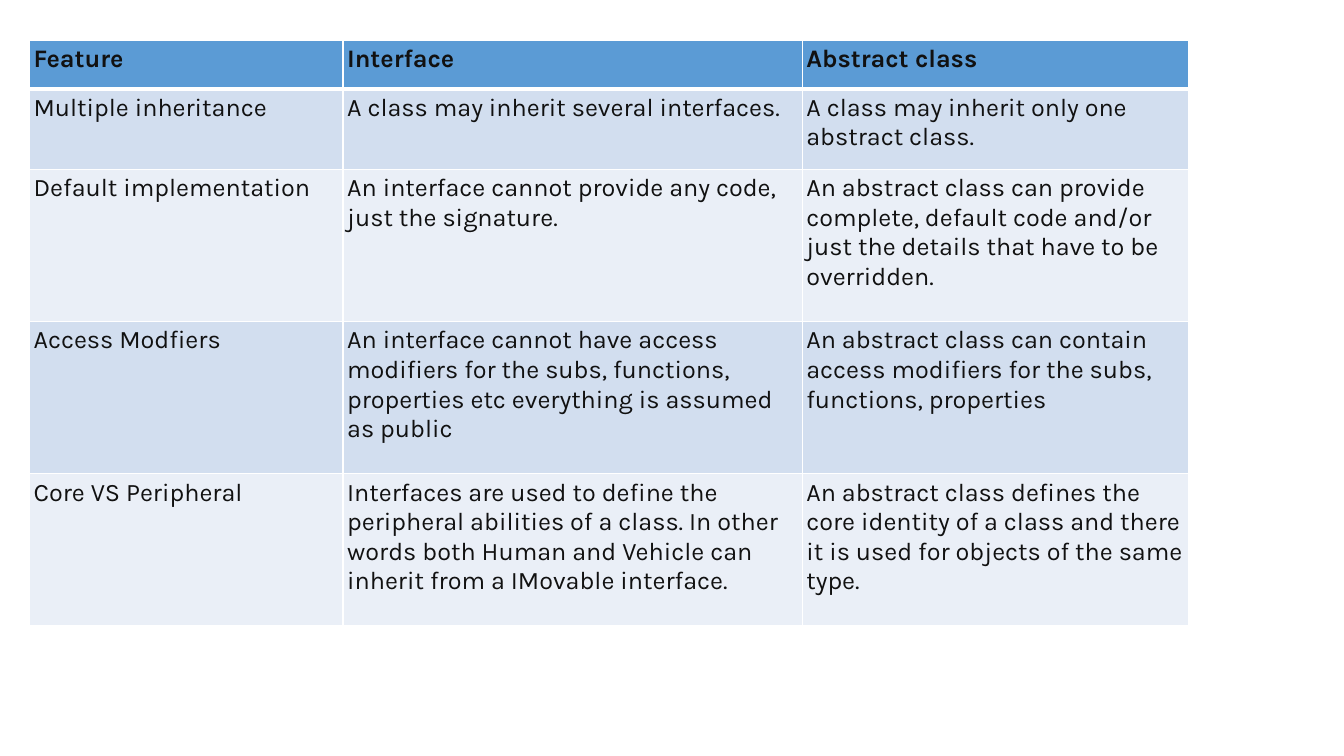
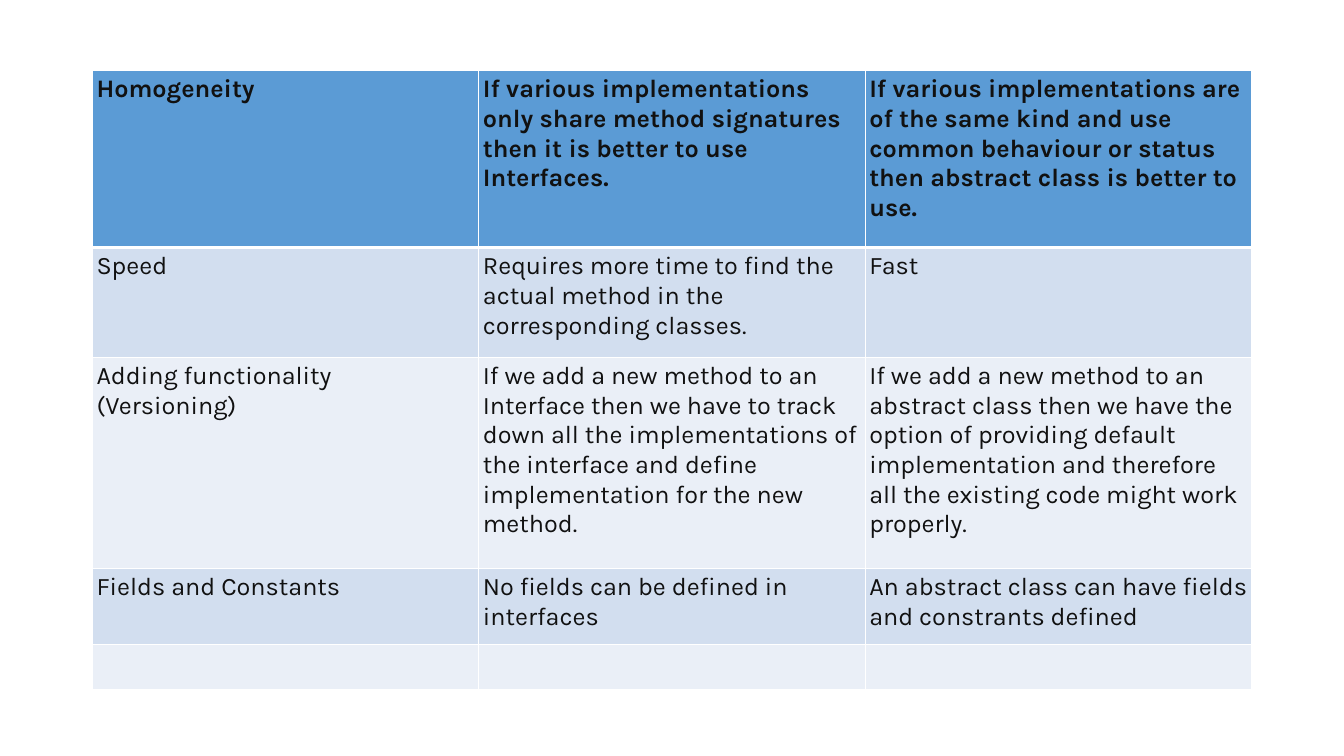
from lxml.etree import SubElement
from pptx import Presentation
from pptx.dml.color import RGBColor
from pptx.oxml.ns import qn
from pptx.util import Pt

HEADER_BLUE = RGBColor(0x5B, 0x9B, 0xD5)
BAND_DARK = RGBColor(0xD2, 0xDE, 0xEF)
BAND_LIGHT = RGBColor(0xEA, 0xEF, 0xF7)
INK = RGBColor(0x11, 0x11, 0x11)
WHITE = RGBColor(0xFF, 0xFF, 0xFF)

FONT = "Karla"
TEXT_SIZE = 18
CELL_INSET = 3
GRID_LINE = 1
HEADER_LINE = 3
BLANK_LAYOUT = 6

COMPARISONS = [
    {
        "corner": (21, 29),
        "widths": (224, 328, 276),
        "heights": (34.5, 57.5, 108.7, 108.7, 108.7),
        "rows": [
            ("Feature", "Interface", "Abstract class"),
            ("Multiple inheritance",
             "A class may inherit several interfaces.",
             "A class may inherit only one abstract class."),
            ("Default implementation",
             "An interface cannot provide any code, just the signature.",
             "An abstract class can provide complete, default code and/or "
             "just the details that have to be overridden."),
            ("Access Modfiers",
             "An interface cannot have access modifiers for the subs, "
             "functions, properties etc everything is assumed as public",
             "An abstract class can contain access modifiers for the subs, "
             "functions, properties"),
            ("Core VS Peripheral",
             "Interfaces are used to define the peripheral abilities of a "
             "class. In other words both Human and Vehicle can inherit from "
             "a IMovable interface.",
             "An abstract class defines the core identity of a class and "
             "there it is used for objects of the same type."),
        ],
    },
    {
        "corner": (66, 50.4),
        "widths": (276, 276, 276),
        "heights": (126.5, 78.5, 150.5, 54.5, 32.4),
        "rows": [
            ("Homogeneity",
             "If various implementations only share method signatures then "
             "it is better to use Interfaces.",
             "If various implementations are of the same kind and use common "
             "behaviour or status then abstract class is better to use."),
            ("Speed",
             "Requires more time to find the actual method in the "
             "corresponding classes.",
             "Fast"),
            ("Adding functionality (Versioning)",
             "If we add a new method to an Interface then we have to track "
             "down all the implementations of the interface and define "
             "implementation for the new method.",
             "If we add a new method to an abstract class then we have the "
             "option of providing default implementation and therefore all "
             "the existing code might work properly."),
            ("Fields and Constants",
             "No fields can be defined in interfaces",
             "An abstract class can have fields and constrants defined"),
            ("", "", ""),
        ],
    },
]


def add_borders(cell, top, bottom):
    """Draw white cell borders; call before filling, as the schema wants lines first."""
    properties = cell._tc.get_or_add_tcPr()
    widths = {"a:lnL": GRID_LINE, "a:lnR": GRID_LINE, "a:lnT": top, "a:lnB": bottom}
    for tag, width in widths.items():
        line = SubElement(properties, qn(tag), w=str(Pt(width)))
        fill = SubElement(line, qn("a:solidFill"))
        SubElement(fill, qn("a:srgbClr"), val=str(WHITE))


def row_colour(row):
    if row == 0:
        return HEADER_BLUE
    return BAND_DARK if row % 2 else BAND_LIGHT


def format_cell(cell, text, row):
    cell.margin_left = cell.margin_right = Pt(CELL_INSET)
    cell.margin_top = cell.margin_bottom = Pt(CELL_INSET)
    add_borders(cell,
                top=HEADER_LINE if row == 1 else GRID_LINE,
                bottom=HEADER_LINE if row == 0 else GRID_LINE)
    cell.fill.solid()
    cell.fill.fore_color.rgb = row_colour(row)
    if text:
        run = cell.text_frame.paragraphs[0].add_run()
        run.text = text
        run.font.name = FONT
        run.font.size = Pt(TEXT_SIZE)
        run.font.bold = row == 0
        run.font.color.rgb = INK


def add_comparison(slide, comparison):
    rows, widths, heights = (comparison[key] for key in ("rows", "widths", "heights"))
    left, top = comparison["corner"]
    table = slide.shapes.add_table(
        len(rows), len(widths),
        Pt(left), Pt(top), Pt(sum(widths)), Pt(sum(heights))).table
    for column, width in zip(table.columns, widths):
        column.width = Pt(width)
    for table_row, height in zip(table.rows, heights):
        table_row.height = Pt(height)
    for row, texts in enumerate(rows):
        for column, text in enumerate(texts):
            format_cell(table.cell(row, column), text, row)


def main():
    deck = Presentation()
    deck.slide_width, deck.slide_height = Pt(960), Pt(540)
    for comparison in COMPARISONS:
        slide = deck.slides.add_slide(deck.slide_layouts[BLANK_LAYOUT])
        add_comparison(slide, comparison)
    deck.save("out.pptx")


if __name__ == "__main__":
    main()
